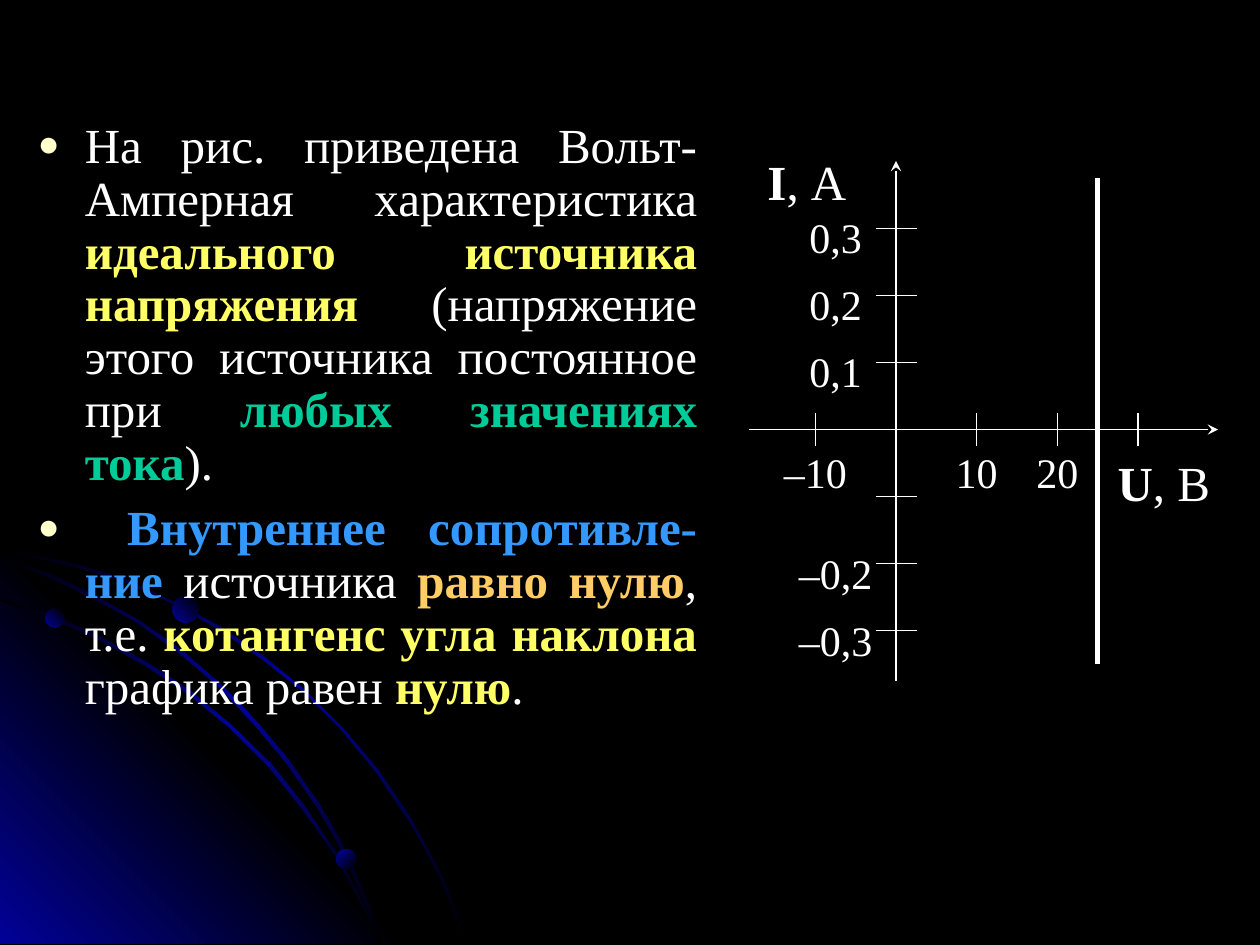
from copy import deepcopy
from lxml.etree import SubElement
from pptx import Presentation
from pptx.dml.color import RGBColor as RGB
from pptx.enum.shapes import MSO_CONNECTOR as Link, MSO_SHAPE as Form
from pptx.enum.text import PP_ALIGN as Align
from pptx.oxml.ns import qn
from pptx.util import Pt

theme = {
    "font": "Times New Roman", "body": 28, "small": 24,
    "black": "000000", "blue": "010199", "white": "FFFFFF",
    "yellow": "FFFF66", "green": "00CC99", "sky": "3399FF",
    "gold": "FFCC66", "bullet": "FFFFCC",
}


def rule(x1, y1, x2, y2, width=0.75, arrow=False):
    line = shapes.add_connector(Link.STRAIGHT, Pt(x1), Pt(y1), Pt(x2), Pt(y2))
    line.line.color.rgb = RGB.from_string(theme["white"])
    line.line.width = Pt(width)
    if arrow:
        SubElement(line.line._get_or_add_ln(), qn("a:tailEnd"), type="stealth")
    SubElement(line._element.spPr, qn("a:effectLst"))


def write(box, paras, size, align, side=0, top=0):
    frame = shapes.add_textbox(*map(Pt, box)).text_frame
    frame.word_wrap = True
    frame.margin_left = frame.margin_right = Pt(side)
    frame.margin_top = frame.margin_bottom = Pt(top)
    for i, parts in enumerate(paras):
        para = frame.add_paragraph() if i else frame.paragraphs[0]
        para.alignment = align
        for text, hue in parts:
            run = para.add_run()
            run.text = text
            run.font.name = theme["font"]
            run.font.size = Pt(theme[size])
            run.font.bold = bool(hue)
            run.font.color.rgb = RGB.from_string(theme[hue or "white"])
    return frame


deck = Presentation()
deck.slide_width, deck.slide_height = Pt(720), Pt(540)
slide = deck.slides.add_slide(deck.slide_layouts[6])
shapes = slide.shapes
back = slide.background.fill
back.solid()
back.fore_color.rgb = RGB.from_string(theme["black"])

upper = [
    (57, 447), (28, 441), (0, 435), (0, 438), (28, 443), (56, 449), (97, 461),
    (135, 478), (173, 499), (208, 523), (241, 549), (271, 579), (298, 612),
    (323, 649), (337, 673), (350, 698), (360, 723), (370, 749), (372, 749),
    (362, 723), (352, 698), (339, 673), (325, 648), (300, 611), (272, 578),
    (242, 548), (209, 521), (174, 497), (136, 477), (98, 459),
]
corner = [(322, 749), (0, 749), (0, 427)]
lower = [
    (285, 714), (294, 732), (301, 749), (303, 749), (296, 730), (286, 712),
    (266, 676), (242, 640), (215, 606), (184, 576), (152, 549), (117, 526),
    (79, 505), (41, 488), (0, 475), (0, 477), (39, 490), (77, 507),
    (115, 528), (150, 551), (183, 578), (213, 608), (240, 642), (265, 677),
]
middle = [
    (0, 442), (0, 444), (36, 457), (74, 475), (109, 494), (142, 518),
    (173, 544), (202, 575), (227, 605), (252, 641), (267, 667), (280, 694),
    (292, 722), (301, 749), (303, 749), (294, 720), (282, 693), (269, 665),
    (254, 639), (229, 603), (204, 573), (175, 543), (144, 516), (111, 493),
    (76, 473), (39, 455),
]
band = ["black", "blue", "black"]
decor = []
for dots, hues, angle in [
    (upper, band, 135), (corner, ["blue", "black", "blue"], 225),
    (lower, band, 135), (middle, band, 135),
]:
    path = shapes.build_freeform(*dots[0], scale=Pt(0.72))
    path.add_line_segments(dots[1:], close=True)
    decor.append((path.convert_to_shape(), hues, angle))
for x, y, size, angle in [
    (25.9, 347.8, 10.8, 225), (192.2, 485.3, 11.5, 135), (98.6, 340.6, 15.1, 225),
]:
    ball = shapes.add_shape(Form.OVAL, Pt(x), Pt(y), Pt(size), Pt(size))
    decor.append((ball, ["black", "blue"], angle))
for shape, hues, angle in decor:
    shape.shadow.inherit = False
    shape.line.fill.background()
    shape.fill.gradient()
    shape.fill.gradient_angle = angle
    stops = shape._element.spPr.find(qn("a:gradFill")).find(qn("a:gsLst"))
    if len(hues) > len(stops):
        stops.append(deepcopy(stops[1]))
    for i, (stop, hue) in enumerate(zip(shape.fill.gradient_stops, hues)):
        stop.position = i / (len(hues) - 1)
        stop.color.rgb = RGB.from_string(theme[hue])

story = [
    [
        ("На рис. приведена Вольт-Амперная характеристика ", None),
        ("идеального источника напряжения", "yellow"),
        (" (напряжение этого источника постоянное при ", None),
        ("любых значениях тока", "green"),
        (").", None),
    ],
    [
        (" ", None),
        ("Внутреннее сопротивле-ние", "sky"),
        (" источника ", None),
        ("равно нулю", "gold"),
        (", т.е. ", None),
        ("котангенс угла наклона", "yellow"),
        (" графика равен ", None),
        ("нулю", "yellow"),
        (".", None),
    ],
]
body = write((14.4, 65.5, 391, 402.5), story, "body", Align.JUSTIFY, 7.2, 3.6)
for i, para in enumerate(body.paragraphs):
    props = para._p.get_or_add_pPr()
    props.set("marL", str(Pt(27)))
    props.set("indent", str(Pt(-27)))
    tint = SubElement(props, qn("a:buClr"))
    SubElement(tint, qn("a:srgbClr"), val=theme["bullet"])
    SubElement(props, qn("a:buSzPct"), val="75000")
    SubElement(props, qn("a:buFont"), typeface=theme["font"])
    SubElement(props, qn("a:buChar"), char="●")
    para.line_spacing = 0.9
    para.space_before = Pt(7 * i)

left, base = 512, 245.5
dx, dy = 46.1, 38.3
rule(left, 389, left, 92, arrow=True)
rule(428, base, 696, base, arrow=True)
write((628, 255, 74, 38), [[("U", "white"), (", В", None)]], "body", Align.CENTER, 0, 3.6)
write((431.5, 83, 80.5, 38), [[("I", "white"), (", А", None)]], "body", Align.LEFT, 7.2, 3.6)

for step, text in [(-1, "–10"), (1, "10"), (2, "20"), (3, "")]:
    x = left + step * dx
    rule(x, base - 9.5, x, base + 9.5)
    if text:
        write((x - 23, 255, 46, 29), [[(text, None)]], "small", Align.CENTER)

marks = ["0,3", "0,2", "0,1", "", "", "–0,2", "–0,3"]
for step, text in enumerate(marks, -3):
    y = base + step * dy
    rule(left - 11.5, y, left + 12, y)
    if text:
        write((454.5, y - 9.5, 46, 29), [[(text, None)]], "small", Align.CENTER)

rule(627, 379.5, 627, 102, width=3)
deck.save("out.pptx")
